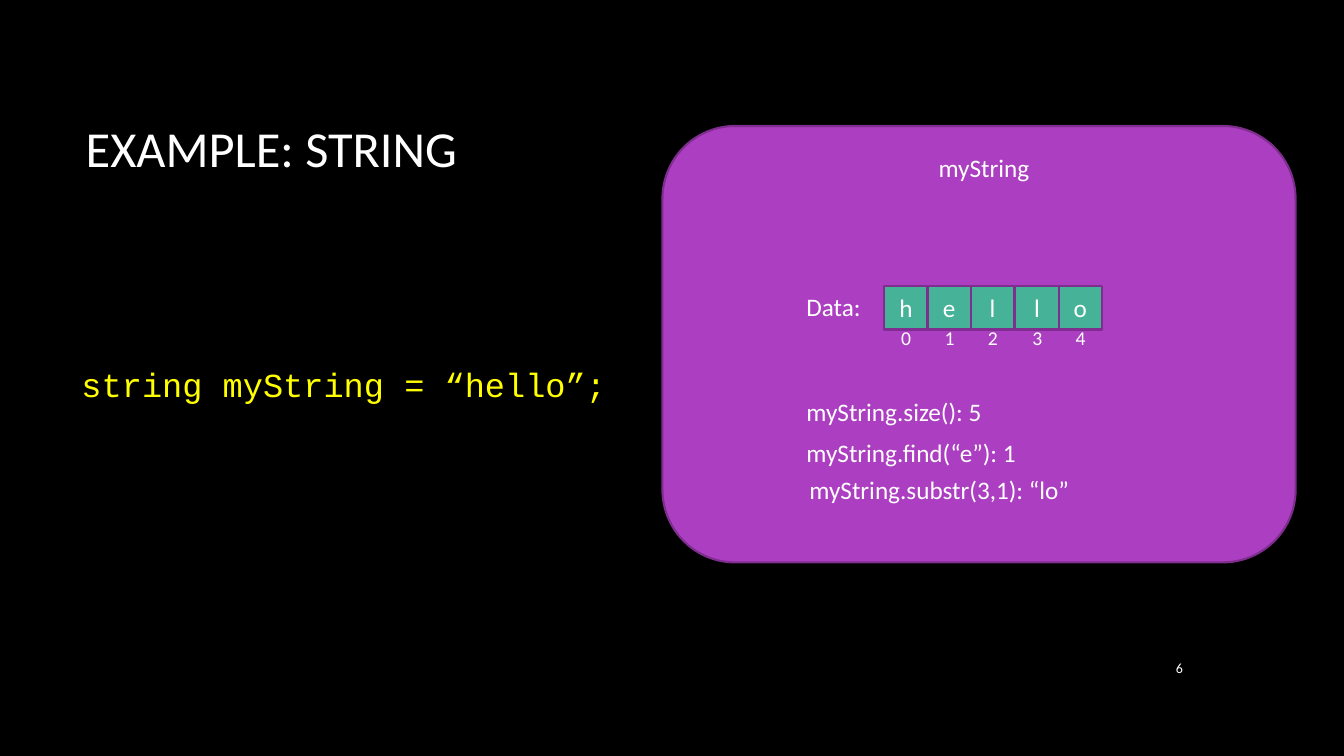
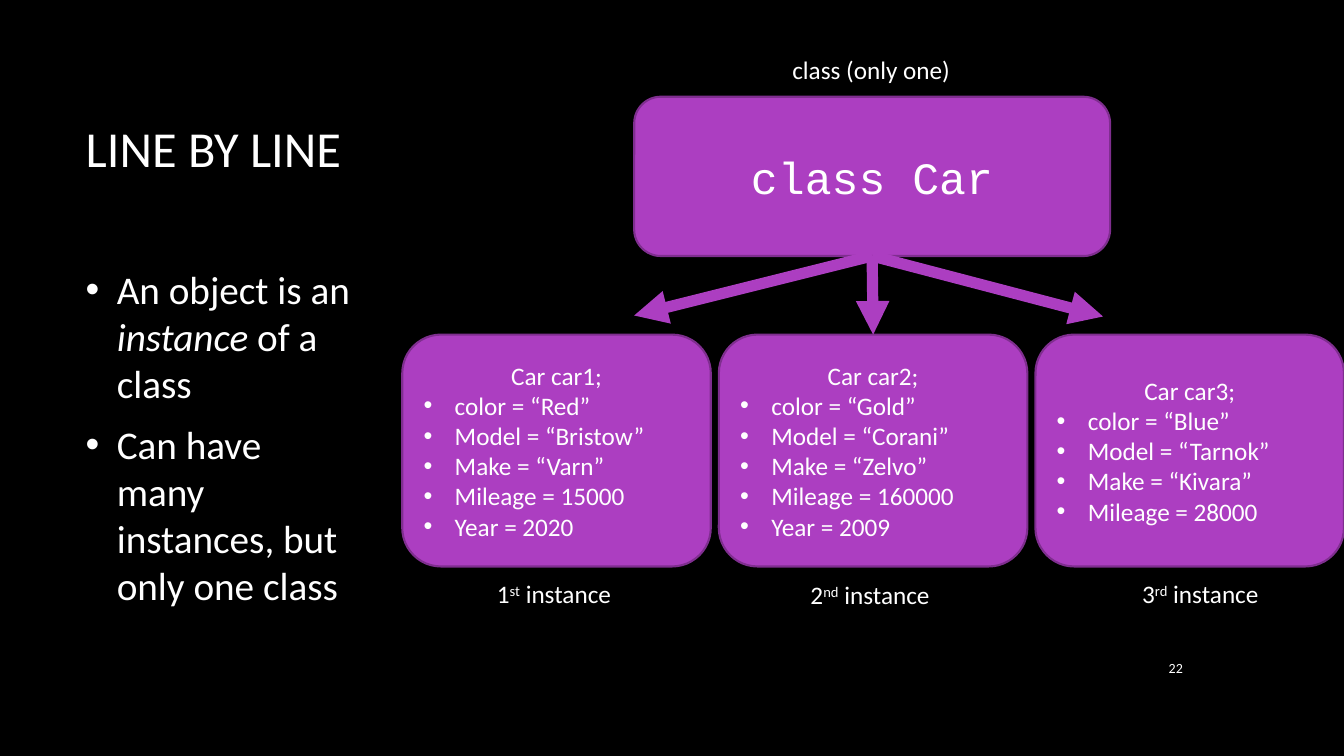
"""Build two slides on strings and on classes with their instances."""
from lxml.etree import SubElement
from pptx import Presentation
from pptx.dml.color import RGBColor
from pptx.enum.shapes import MSO_CONNECTOR, MSO_SHAPE
from pptx.enum.text import MSO_ANCHOR, PP_ALIGN
from pptx.oxml.ns import qn
from pptx.util import Emu, Pt

BLACK = RGBColor(0x00, 0x00, 0x00)
WHITE = RGBColor(0xFF, 0xFF, 0xFF)
YELLOW = RGBColor(0xFF, 0xFF, 0x00)
PURPLE = RGBColor(0xAC, 0x3E, 0xC1)
DARK_PURPLE = RGBColor(0x7F, 0x2E, 0x8F)
GREEN = RGBColor(0x46, 0xB2, 0x98)

BODY_FONT = "Calibri"
CODE_FONT = "Courier New"
EMU_PER_PX = 9144
BULLET_INDENT = 31
TITLE_ONLY = 5

CARS = [
    ("Car car1;", "color = “Red”", "Model = “Bristow”", "Make = “Varn”",
     "Mileage = 15000", "Year = 2020"),
    ("Car car2;", "color = “Gold”", "Model = “Corani”", "Make = “Zelvo”",
     "Mileage = 160000", "Year = 2009"),
    ("Car car3;", "color = “Blue”", "Model = “Tarnok”", "Make = “Kivara”",
     "Mileage = 28000"),
]


def px(*lengths):
    return [Emu(length * EMU_PER_PX) for length in lengths]


def format_text(text_frame, size, font=BODY_FONT, color=WHITE, align=PP_ALIGN.LEFT):
    for paragraph in text_frame.paragraphs:
        paragraph.alignment = align
        for run in paragraph.runs:
            run.font.size = Pt(size)
            run.font.name = font
            run.font.color.rgb = color


def add_bullet(paragraph):
    properties = paragraph._p.get_or_add_pPr()
    indent = BULLET_INDENT * EMU_PER_PX
    properties.set("marL", str(indent))
    properties.set("indent", str(-indent))
    SubElement(properties, qn("a:buFont")).set("typeface", "Arial")
    SubElement(properties, qn("a:buChar")).set("char", "•")


def add_text(slide, box, text, size=18, wrap=True, **style):
    shape = slide.shapes.add_textbox(*px(*box))
    text_frame = shape.text_frame
    text_frame.word_wrap = wrap
    text_frame.text = text
    format_text(text_frame, size, **style)
    return text_frame


def add_box(slide, preset, box, fill, text="", size=18, font=BODY_FONT):
    shape = slide.shapes.add_shape(preset, *px(*box))
    shape.shadow.inherit = False
    shape.fill.solid()
    shape.fill.fore_color.rgb = fill
    shape.line.color.rgb = DARK_PURPLE
    shape.line.width = Pt(1.5)
    shape.text_frame.vertical_anchor = MSO_ANCHOR.MIDDLE
    shape.text_frame.text = text
    format_text(shape.text_frame, size, font, align=PP_ALIGN.CENTER)
    return shape


def add_car(slide, left, lines):
    car = add_box(slide, MSO_SHAPE.ROUNDED_RECTANGLE, (left, 332, 306, 230),
                  PURPLE, "\n".join(lines))
    for paragraph in car.text_frame.paragraphs[1:]:
        paragraph.alignment = PP_ALIGN.LEFT
        add_bullet(paragraph)
    return car


def add_arrow(slide, start_shape, end):
    arrow = slide.shapes.add_connector(MSO_CONNECTOR.STRAIGHT, *px(865, 254, *end))
    arrow.begin_connect(start_shape, 2)
    arrow.line.color.rgb = PURPLE
    arrow.line.width = Pt(8)
    SubElement(arrow.line._get_or_add_ln(), qn("a:tailEnd")).set("type", "triangle")
    SubElement(arrow._element.spPr, qn("a:effectLst"))
    return arrow


def add_instance_label(slide, box, number, suffix):
    text_frame = add_text(slide, box, number, wrap=False)
    paragraph = text_frame.paragraphs[0]
    ordinal = paragraph.add_run()
    ordinal.text = suffix
    paragraph.add_run().text = " instance"
    format_text(text_frame, 18)
    ordinal._r.get_or_add_rPr().set("baseline", "30000")


def add_body(slide):
    text_frame = add_text(slide, (75, 234, 289, 399), "An object is an ")
    text_frame.vertical_anchor = MSO_ANCHOR.MIDDLE
    first = text_frame.paragraphs[0]
    emphasis = first.add_run()
    emphasis.text = "instance"
    emphasis.font.italic = True
    first.add_run().text = " of a class"
    text_frame.add_paragraph().text = "Can have many instances, but only one class"
    format_text(text_frame, 28)
    for paragraph in text_frame.paragraphs:
        paragraph.space_after = Pt(10)
        add_bullet(paragraph)


def add_slide(presentation, title_text, number):
    slide = presentation.slides.add_slide(presentation.slide_layouts[TITLE_ONLY])
    title = slide.shapes.title
    title.left, title.top, title.width, title.height = px(75, 67, 1108, 159)
    title.text_frame.text = title_text
    title.text_frame.vertical_anchor = MSO_ANCHOR.MIDDLE
    format_text(title.text_frame, 36)
    footer = add_text(slide, (1123, 642, 60, 41), number, 10, align=PP_ALIGN.RIGHT)
    footer.vertical_anchor = MSO_ANCHOR.MIDDLE
    return slide


def build_string_slide(presentation):
    slide = add_slide(presentation, "EXAMPLE: STRING", "6")
    add_text(slide, (71, 356, 558, 50), "string myString = “hello”;", 24,
             font=CODE_FONT, color=YELLOW)
    add_box(slide, MSO_SHAPE.ROUNDED_RECTANGLE, (657, 125, 628, 433), PURPLE)
    word = "hello"
    for index, letter in enumerate(word):
        left = 877 + 217 * index // len(word)
        add_box(slide, MSO_SHAPE.RECTANGLE, (left, 284, 43, 43), GREEN, letter)
        add_text(slide, (left + 7, 318, 22, 34), str(index), 14)
    for box, text in [
        ((921, 146, 118, 40), "myString"),
        ((790, 284, 82, 40), "Data:"),
        ((790, 388, 200, 40), "myString.size(): 5"),
        ((790, 429, 243, 40), "myString.find(“e”): 1"),
        ((793, 466, 286, 40), "myString.substr(3,1): “lo”"),
    ]:
        add_text(slide, box, text)


def build_class_slide(presentation):
    slide = add_slide(presentation, "LINE BY LINE", "22")
    add_body(slide)
    class_box = add_box(slide, MSO_SHAPE.ROUNDED_RECTANGLE, (629, 96, 472, 158),
                        PURPLE, "class Car", 32, CODE_FONT)
    cars = [add_car(slide, 399 + 314 * index, lines)
            for index, lines in enumerate(CARS)]
    add_arrow(slide, class_box, (629, 313))
    add_arrow(slide, class_box, (865, 332)).end_connect(cars[1], 0)
    add_arrow(slide, class_box, (1094, 314))
    add_text(slide, (776, 49, 178, 40), "class (only one)", wrap=False)
    add_instance_label(slide, (483, 569, 136, 40), "1", "st")
    add_instance_label(slide, (794, 570, 142, 40), "2", "nd")
    add_instance_label(slide, (1123, 569, 139, 40), "3", "rd")


def main():
    presentation = Presentation()
    presentation.slide_width, presentation.slide_height = px(1333, 750)
    background = presentation.slide_master.background.fill
    background.solid()
    background.fore_color.rgb = BLACK
    build_string_slide(presentation)
    build_class_slide(presentation)
    presentation.save("out.pptx")


if __name__ == "__main__":
    main()
